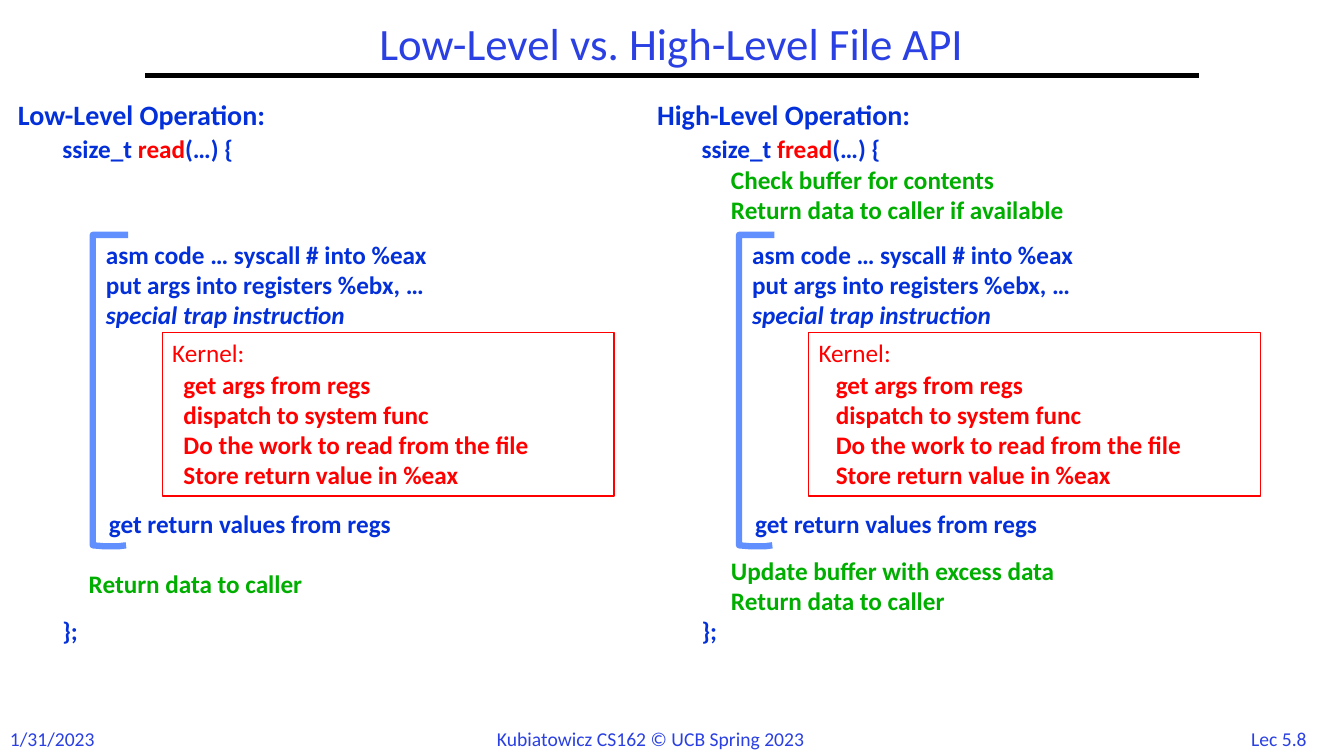
from dataclasses import dataclass

from lxml import etree
from pptx import Presentation
from pptx.dml.color import RGBColor
from pptx.enum.shapes import MSO_CONNECTOR, MSO_SHAPE
from pptx.enum.text import MSO_ANCHOR, MSO_AUTO_SIZE, PP_ALIGN
from pptx.oxml.ns import qn
from pptx.util import Pt

PX = 9144
LEFT, CENTER = PP_ALIGN.LEFT, PP_ALIGN.CENTER
TOP, MIDDLE = MSO_ANCHOR.TOP, MSO_ANCHOR.MIDDLE
NO_FIT = MSO_AUTO_SIZE.NONE
RECT, STRAIGHT = MSO_SHAPE.RECTANGLE, MSO_CONNECTOR.STRAIGHT
TITLE_ONLY = 5


@dataclass(frozen=True)
class Theme:
    font: str = "Calibri"
    title: str = "2A40E2"
    code: str = "0330D8"
    kernel: str = "FF0000"
    note: str = "00AE00"
    bracket: str = "618FFD"
    rule: str = "000000"
    title_size: int = 32
    heading_size: int = 20
    body_size: int = 18
    footer_size: int = 14


THEME = Theme()


@dataclass(frozen=True)
class Box:
    x: int
    y: int
    w: int
    h: int


@dataclass(frozen=True)
class Run:
    text: str
    color: str
    size: int = THEME.body_size
    bold: bool = True
    italic: bool = False


@dataclass(frozen=True)
class Note:
    box: Box
    lines: tuple[str, ...]


@dataclass(frozen=True)
class Column:
    heading: str
    func: str
    head_x: int
    body_x: int
    list_x: int
    notes: tuple[Note, ...]


@dataclass(frozen=True)
class Footer:
    box: Box
    text: str
    align: PP_ALIGN = LEFT


COLUMNS = (
    Column("Low-Level Operation:", "read", 8, 78, 161, (
        Note(Box(67, 559, 555, 40), ("Return data to caller",)),
    )),
    Column("High-Level Operation:", "fread", 642, 719, 808, (
        Note(Box(704, 158, 555, 71),
             ("Check buffer for contents", "Return data to caller if available")),
        Note(Box(704, 546, 555, 71),
             ("Update buffer with excess data", "Return data to caller")),
    )),
)
FOOTERS = (
    Footer(Box(0, 716, 107, 34), "1/31/2023"),
    Footer(Box(483, 716, 368, 34), "Kubiatowicz CS162 © UCB Spring 2023"),
    Footer(Box(1220, 716, 97, 33), "Lec 5.8", CENTER),
)
SYSCALL_LINES = ("asm code … syscall # into %eax", "put args into registers %ebx, …")
KERNEL_LINES = (
    "get args from regs",
    "dispatch to system func",
    "Do the work to read from the file",
    "Store return value in %eax",
)
BRACKET_POINTS = ((0, 0), (0, 308), (12, 309), (25, 309), (33, 308))
BRACE_GAP = Pt(323)


def rgb(color: str) -> RGBColor:
    return RGBColor.from_string(color)


def emu(box: Box) -> tuple[int, int, int, int]:
    return box.x * PX, box.y * PX, box.w * PX, box.h * PX


def write(tf, lines: list[list[Run]], align=LEFT) -> None:
    for i, runs in enumerate(lines):
        p = tf.paragraphs[0] if i == 0 else tf.add_paragraph()
        p.alignment = align
        for run in runs:
            r = p.add_run()
            r.text = run.text
            r.font.name = THEME.font
            r.font.size = Pt(run.size)
            r.font.bold = run.bold
            r.font.italic = run.italic
            r.font.color.rgb = rgb(run.color)


def add_text(slide, box: Box, lines: list[list[Run]], align=LEFT,
             indent: int = 0, drop: int = 0):
    tf = slide.shapes.add_textbox(*emu(box)).text_frame
    tf.word_wrap = True
    tf.margin_left = (10 + indent) * PX
    tf.margin_top = (5 + drop) * PX
    write(tf, lines, align)
    return tf


def one_run_lines(lines: tuple[str, ...], color: str) -> list[list[Run]]:
    return [[Run(line, color)] for line in lines]


def add_title(slide, text: str) -> None:
    sp = slide.shapes.title
    sp.left, sp.top, sp.width, sp.height = emu(Box(144, 17, 1044, 58))
    tf = sp.text_frame
    tf.auto_size = NO_FIT
    tf.vertical_anchor = MIDDLE
    write(tf, [[Run(text, THEME.title, THEME.title_size, False)]], CENTER)
    tf.paragraphs[0].line_spacing = 0.9


def add_rule(slide) -> None:
    line = slide.shapes.add_connector(STRAIGHT, 144 * PX, 75 * PX, 1189 * PX, 75 * PX)
    line.line.color.rgb = rgb(THEME.rule)
    line.line.width = Pt(3)
    etree.SubElement(line._element.spPr, qn("a:effectLst"))


def outline(sp, color: str, width: float) -> None:
    sp.shadow.inherit = False
    sp.fill.background()
    sp.line.color.rgb = rgb(color)
    sp.line.width = Pt(width)


def add_kernel(slide, x: int, list_x: int) -> None:
    sp = slide.shapes.add_shape(RECT, *emu(Box(x, 330, 448, 162)))
    outline(sp, THEME.kernel, 1)
    tf = sp.text_frame
    tf.word_wrap = True
    tf.vertical_anchor = TOP
    write(tf, [[Run("Kernel:", THEME.kernel, bold=False)]])
    add_text(slide, Box(list_x, 361, 506, 131),
             one_run_lines(KERNEL_LINES, THEME.kernel), indent=11)


def add_bracket(slide, x: int, y: int) -> None:
    fb = slide.shapes.build_freeform(x + 35, y, scale=PX)
    fb.add_line_segments([(x + dx, y + dy) for dx, dy in BRACKET_POINTS], close=False)
    outline(fb.convert_to_shape(), THEME.bracket, 4.5)


def add_column(slide, col: Column) -> None:
    tf = add_text(slide, Box(col.head_x + 44, 127, 573, 525), [
        [Run("ssize_t ", THEME.code), Run(col.func, THEME.kernel), Run("(…) {", THEME.code)],
        [Run("};", THEME.code)],
    ])
    tf.paragraphs[1].space_before = BRACE_GAP
    add_text(slide, Box(col.head_x, 92, 313, 44),
             [[Run(col.heading, THEME.code, THEME.heading_size)]])
    syscall = one_run_lines(SYSCALL_LINES, THEME.code)
    syscall.append([Run("special trap instruction", THEME.code, italic=True)])
    add_text(slide, Box(col.body_x, 202, 573, 131), syscall, indent=17, drop=30)
    add_text(slide, Box(col.body_x + 9, 499, 555, 40),
             [[Run("get return values from regs", THEME.code)]], indent=11)
    add_kernel(slide, col.body_x + 83, col.list_x)
    for note in col.notes:
        add_text(slide, note.box, one_run_lines(note.lines, THEME.note), indent=11)
    add_bracket(slide, col.body_x + 14, 233)


def main() -> None:
    prs = Presentation()
    prs.slide_width, prs.slide_height = 1333 * PX, 750 * PX
    slide = prs.slides.add_slide(prs.slide_layouts[TITLE_ONLY])
    add_title(slide, "Low-Level vs. High-Level File API")
    add_rule(slide)
    for footer in FOOTERS:
        add_text(slide, footer.box,
                 [[Run(footer.text, THEME.title, THEME.footer_size, False)]], footer.align)
    for col in COLUMNS:
        add_column(slide, col)
    prs.save("out.pptx")


if __name__ == "__main__":
    main()
